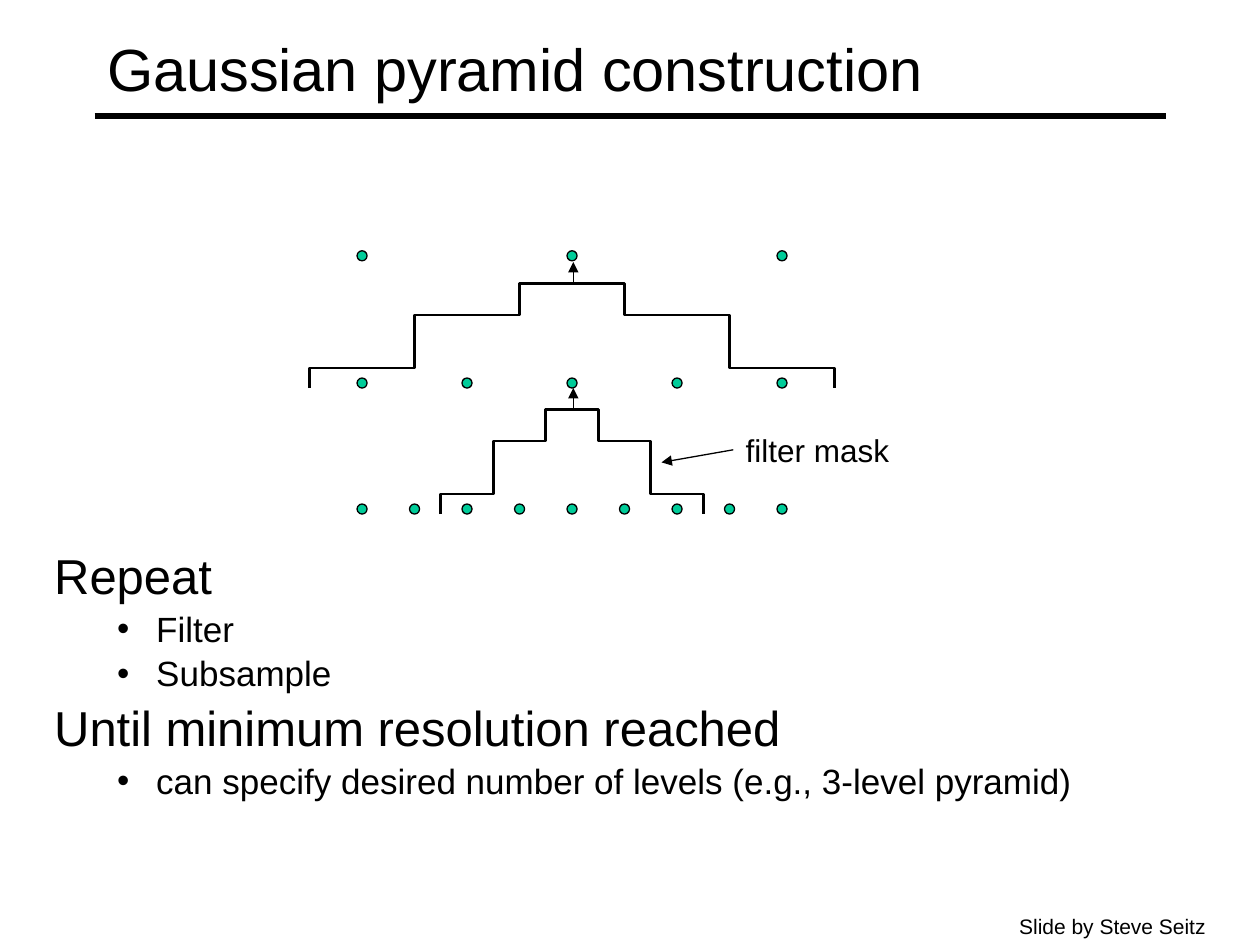
from pptx import Presentation
from pptx.dml.color import RGBColor
from pptx.enum.shapes import MSO_CONNECTOR as CONN, MSO_SHAPE as SHAPE
from pptx.enum.text import MSO_ANCHOR as ANCHOR, MSO_AUTO_SIZE as AUTO, PP_ALIGN as ALIGN
from pptx.oxml.ns import qn
from pptx.util import Inches, Pt
from lxml.etree import SubElement

BLACK = RGBColor(0x00, 0x00, 0x00)
WHITE = RGBColor(0xFF, 0xFF, 0xFF)
GREEN = RGBColor(0x00, 0xCC, 0x99)
FONT = "Arial"

# Pyramid grid, in inches
CENTER = 4.54
PITCH = 10 / 24
DOT = 0.08
LEVELS = [(4.04, 9, 1), (3.04, 5, 2), (2.03, 3, 4)]  # y, samples, spacing in pitches
MASKS = [(3.25, 1), (2.25, 2)]                       # top, step width in pitches
STEPS = [(2.5, 0.83, 0.67), (1.5, 0.67, 0.25), (0.5, 0.25, 0)]  # half width, low, high

BODY = [
    (0, "Repeat"),
    (1, "Filter"),
    (1, "Subsample"),
    (0, "Until minimum resolution reached"),
    (1, "can specify desired number of levels (e.g., 3-level pyramid)"),
]
BODY_STYLE = [(28, 0.38, -0.38), (20, 0.81, -0.31)]  # size, margin, indent by level


def place(sp, left, top, width, height):
    sp.left, sp.top = Inches(left), Inches(top)
    sp.width, sp.height = Inches(width), Inches(height)


def add_run(p, text, size):
    r = p.add_run()
    r.text = text
    r.font.name, r.font.size = FONT, Pt(size)
    r.font.color.rgb = BLACK


def set_line(sp, width):
    sp.line.color.rgb = BLACK
    sp.line.width = Pt(width)


def add_line(s, x1, y1, x2, y2, width=0.75, arrow=True):
    line = s.shapes.add_connector(CONN.STRAIGHT, *map(Inches, (x1, y1, x2, y2)))
    set_line(line, width)
    if arrow:
        SubElement(line.line._get_or_add_ln(), qn("a:tailEnd"), type="triangle")
    SubElement(line._element.spPr, qn("a:effectLst"))
    return line


def add_label(s, text, size, left, top, width, height):
    box = s.shapes.add_textbox(*map(Inches, (left, top, width, height)))
    tf = box.text_frame
    tf.word_wrap = False
    tf.auto_size = AUTO.SHAPE_TO_FIT_TEXT
    add_run(tf.paragraphs[0], text, size)
    return box


def add_samples(s, y, count, spacing):
    for i in range(count):
        x = CENTER + (i - count // 2) * spacing * PITCH
        dot = s.shapes.add_shape(SHAPE.OVAL, Inches(x - DOT / 2), Inches(y - DOT / 2),
                                 Inches(DOT), Inches(DOT))
        dot.shadow.inherit = False
        dot.fill.solid()
        dot.fill.fore_color.rgb = GREEN
        set_line(dot, 0.75)


def add_mask(s, top, step):
    rise = [(-half, y) for half, low, high in STEPS for y in (low, high)]
    outline = rise + [(-x, y) for x, y in reversed(rise)]
    points = [(Inches(CENTER + x * step * PITCH), Inches(top + y)) for x, y in outline]
    builder = s.shapes.build_freeform(*points[0])
    builder.add_line_segments(points[1:], close=False)
    mask = builder.convert_to_shape()
    mask.shadow.inherit = False
    mask.fill.background()
    set_line(mask, 1.5)
    # Result of the filter, pointing at the level above
    add_line(s, CENTER + 0.01, top, CENTER + 0.01, top - 0.17)


def fill_title(s, text):
    title = s.shapes.title
    place(title, 0.75, 0.08, 8.5, 0.92)
    tf = title.text_frame
    tf.vertical_anchor = ANCHOR.MIDDLE
    tf.auto_size = AUTO.NONE
    p = tf.paragraphs[0]
    p.alignment = ALIGN.LEFT
    add_run(p, text, 34)


def fill_body(s, items):
    body = s.placeholders[1]
    place(body, 0.33, 4.33, 9.67, 2)
    tf = body.text_frame
    tf.auto_size = AUTO.NONE
    for i, (level, text) in enumerate(items):
        p = tf.add_paragraph() if i else tf.paragraphs[0]
        size, margin, indent = BODY_STYLE[level]
        p.level = level
        pPr = p._p.get_or_add_pPr()
        pPr.set("marL", str(Inches(margin)))
        pPr.set("indent", str(Inches(indent)))
        if level:
            SubElement(pPr, qn("a:buFont"), typeface=FONT)
            SubElement(pPr, qn("a:buChar"), char="•")
        else:
            SubElement(pPr, qn("a:buNone"))
        p.line_spacing = 0.9
        p.space_before = Pt(0.2 * size if i else 0)
        add_run(p, text, size)


def main():
    prs = Presentation()
    prs.slide_width, prs.slide_height = Inches(10), Inches(7.5)
    s = prs.slides.add_slide(prs.slide_layouts[1])

    # Title with its rule
    add_line(s, 0.75, 0.92, 9.25, 0.92, width=3, arrow=False)
    fill_title(s, "Gaussian pyramid construction")

    # Pyramid levels and the masks between them
    for level in LEVELS:
        add_samples(s, *level)
    for mask in MASKS:
        add_mask(s, *mask)

    # Mask label
    label = add_label(s, "filter mask", 18, 5.82, 3.37, 1.34, 0.4)
    add_line(s, 5.82, 3.57, 5.25, 3.67).begin_connect(label, 1)

    # Algorithm
    fill_body(s, BODY)

    # Credit
    credit = add_label(s, "Slide by Steve Seitz", 12, 7.99, 7.2, 1.68, 0.3)
    credit.fill.solid()
    credit.fill.fore_color.rgb = WHITE

    prs.save("out.pptx")


if __name__ == "__main__":
    main()
